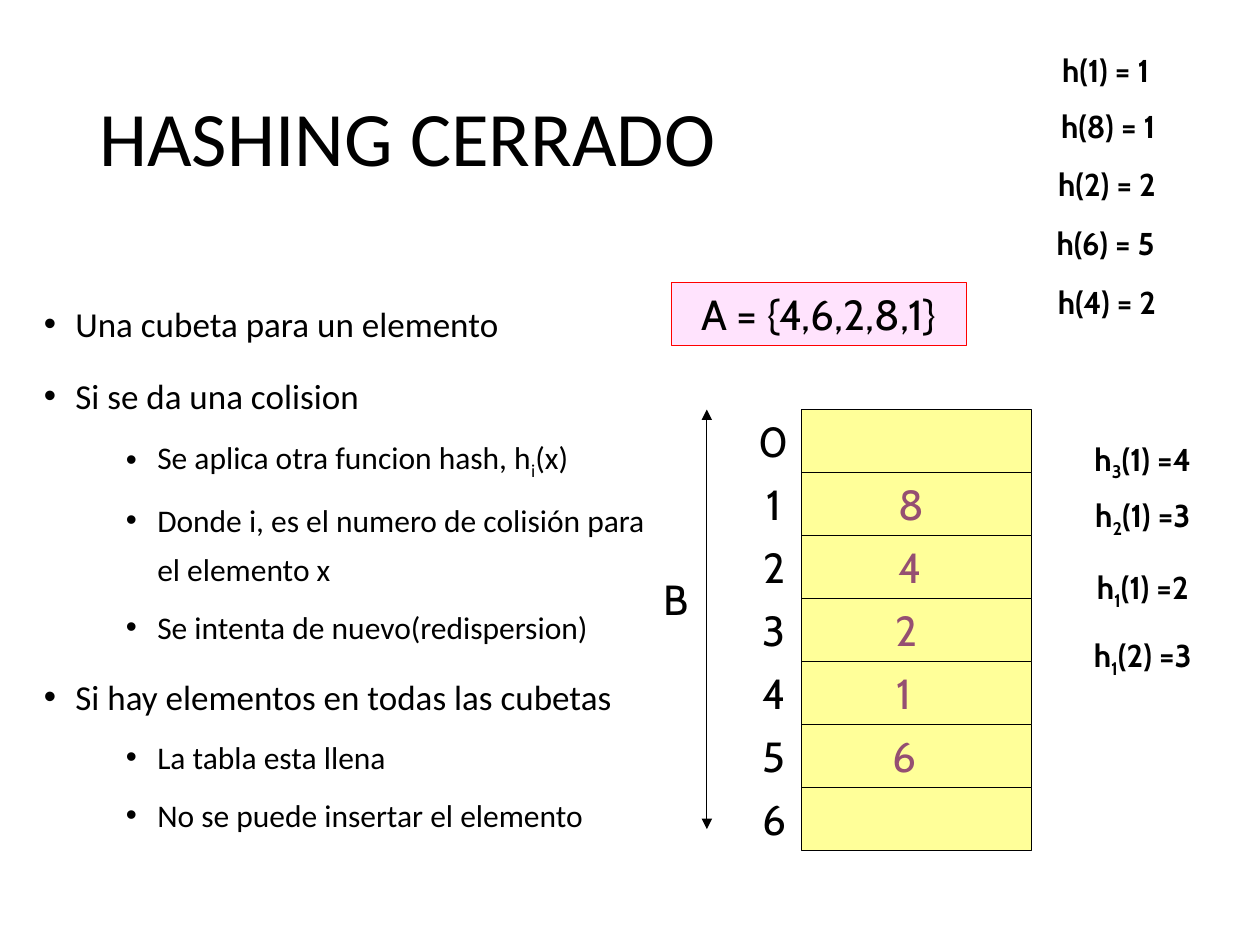
from lxml.etree import SubElement as Sub
from pptx import Presentation
from pptx.dml.color import RGBColor as Rgb
from pptx.enum.shapes import MSO_CONNECTOR as Link, MSO_SHAPE as Shape
from pptx.enum.text import MSO_ANCHOR as Anchor, MSO_AUTO_SIZE as Auto, PP_ALIGN as Align
from pptx.oxml.ns import qn
from pptx.util import Inches, Pt

WIDE, HIGH = 20, 15
TOP = 6.5
HASHES = [("h(1) = 1", 16.46, 0.72), ("h(8) = 1", 16.5, 1.6), ("h(2) = 2", 16.48, 2.52),
          ("h(6) = 5", 16.46, 3.46), ("h(4) = 2", 16.48, 4.4)]
PROBES = [("h_3(1) =4", 6.88, "FFFFFF"), ("h_2(1) =3", 7.78, None),
          ("h_1(1) =2", 8.92, None), ("h_1(2) =3", 10, "FFFFFF")]
KEYS = [("8", 14.06), ("4", 14.06), ("2", 14), ("1", 13.96), ("6", 13.96)]
POINTS = [(0, "Una cubeta para un elemento"), (0, "Si se da una colision"),
          (1, "Se aplica otra funcion hash, h_i(x)"),
          (1, "Donde i, es el numero de colisión para el elemento x"),
          (1, "Se intenta de nuevo(redispersion)"),
          (0, "Si hay elementos en todas las cubetas"),
          (1, "La tabla esta llena"), (1, "No se puede insertar el elemento")]


def grid(*cells):
    """Turn columns and rows of the slide grid into lengths."""
    return [Inches(cell / 2) for cell in cells]


def color(code):
    """Turn a hex string into a colour."""
    return Rgb.from_string(code)


def write(para, text, size, face="Cabin", ink="000000", bold=False):
    """Fill a paragraph, lowering the letter that follows an underscore."""
    head, mark, tail = text.partition("_")
    para.add_run().text = head
    if mark:
        low = para.add_run()
        low.text = tail[0]
        low._r.get_or_add_rPr().set("baseline", "-25000")
        para.add_run().text = tail[1:]
    font = para.font
    font.size, font.name, font.bold = Pt(size), face, bold
    font.color.rgb = color(ink)


def box(slide, spot, fill, line=None):
    """Draw a filled rectangle."""
    rect = slide.shapes.add_shape(Shape.RECTANGLE, *grid(*spot))
    rect.shadow.inherit = False
    rect.fill.solid()
    rect.fill.fore_color.rgb = color(fill)
    if line:
        rect.line.color.rgb = color(line)
        rect.line.width = Pt(0.75)
    else:
        rect.line.fill.background()
    return rect


def label(slide, text, spot, size=24, fill=None, line=None, wrap=False, **style):
    """Put centred text in a plain or filled box."""
    item = box(slide, spot, fill, line) if fill else slide.shapes.add_textbox(*grid(*spot))
    frame = item.text_frame
    frame.word_wrap, frame.auto_size = wrap, Auto.SHAPE_TO_FIT_TEXT
    frame.vertical_anchor = Anchor.TOP
    para = frame.paragraphs[0]
    para.alignment = Align.CENTER
    write(para, text, size, **style)


def title(slide, text):
    """Write the slide title."""
    frame = slide.shapes.add_textbox(*grid(1.38, 0.8, 17.26, 2.9)).text_frame
    frame.word_wrap, frame.vertical_anchor = True, Anchor.MIDDLE
    para = frame.paragraphs[0]
    para.line_spacing = 0.9
    write(para, text, 44, "Calibri")


def bullet(para, left):
    """Give a paragraph a hanging black bullet."""
    props = para._p.get_or_add_pPr()
    props.set("marL", str(Inches(left)))
    props.set("indent", str(-Inches(0.25)))
    Sub(Sub(props, qn("a:buClr")), qn("a:srgbClr"), val="000000")
    Sub(props, qn("a:buFont"), typeface="Arial")
    Sub(props, qn("a:buChar"), char="•")


def outline(slide, points):
    """Write the bulleted text on two levels."""
    frame = slide.shapes.add_textbox(*grid(0.5, 4.5, 10.34, 9)).text_frame
    frame.word_wrap = True
    for i, (level, text) in enumerate(points):
        para = frame.add_paragraph() if i else frame.paragraphs[0]
        para.level, para.line_spacing = level, 1.3
        if i:
            para.space_before = Pt(5 if level else 10)
        bullet(para, 0.9 if level else 0.25)
        write(para, text, 18 if level else 20, "Calibri")


def arrow(slide, *ends):
    """Draw a thin line with a head at both ends."""
    line = slide.shapes.add_connector(Link.STRAIGHT, *grid(*ends))
    line.line.color.rgb = color("000000")
    line.line.width = Pt(0.75)
    edge = line.line._get_or_add_ln()
    for end in ("a:headEnd", "a:tailEnd"):
        Sub(edge, qn(end), type="triangle")
    Sub(line._element.spPr, qn("a:effectLst"))


def table(slide):
    """Draw the numbered buckets and the keys they hold."""
    for i in range(7):
        box(slide, (12.72, TOP + i, 3.66, 1), "FFFF99", "000000")
        label(slide, str(i), (11.9 if i else 11.84, TOP + i, 0.78, 1))
    for i, (key, left) in enumerate(KEYS, 1):
        label(slide, key, (left, TOP + i, 0.78, 1), ink="954F72")
    arrow(slide, 11.22, TOP, 11.22, 13.16)
    label(slide, "B", (10.32, 9, 0.82, 1))


def main():
    """Build the slide and save it."""
    deck = Presentation()
    deck.slide_width, deck.slide_height = grid(WIDE, HIGH)
    slide = deck.slides.add_slide(deck.slide_layouts[6])
    title(slide, "HASHING CERRADO")
    outline(slide, POINTS)
    table(slide)
    label(slide, "A = {4,6,2,8,1}", (10.66, 4.48, 4.68, 1), fill="FFE3FD", line="FF0000")
    for text, left, top in HASHES:
        label(slide, text, (left, top, 2.18, 0.8), 18, "FFFFFF", bold=True)
    for text, top, fill in PROBES:
        label(slide, text, (16.84, top, 2.6, 0.88), 18, fill, wrap=True, bold=True)
    deck.save("out.pptx")


if __name__ == "__main__":
    main()
